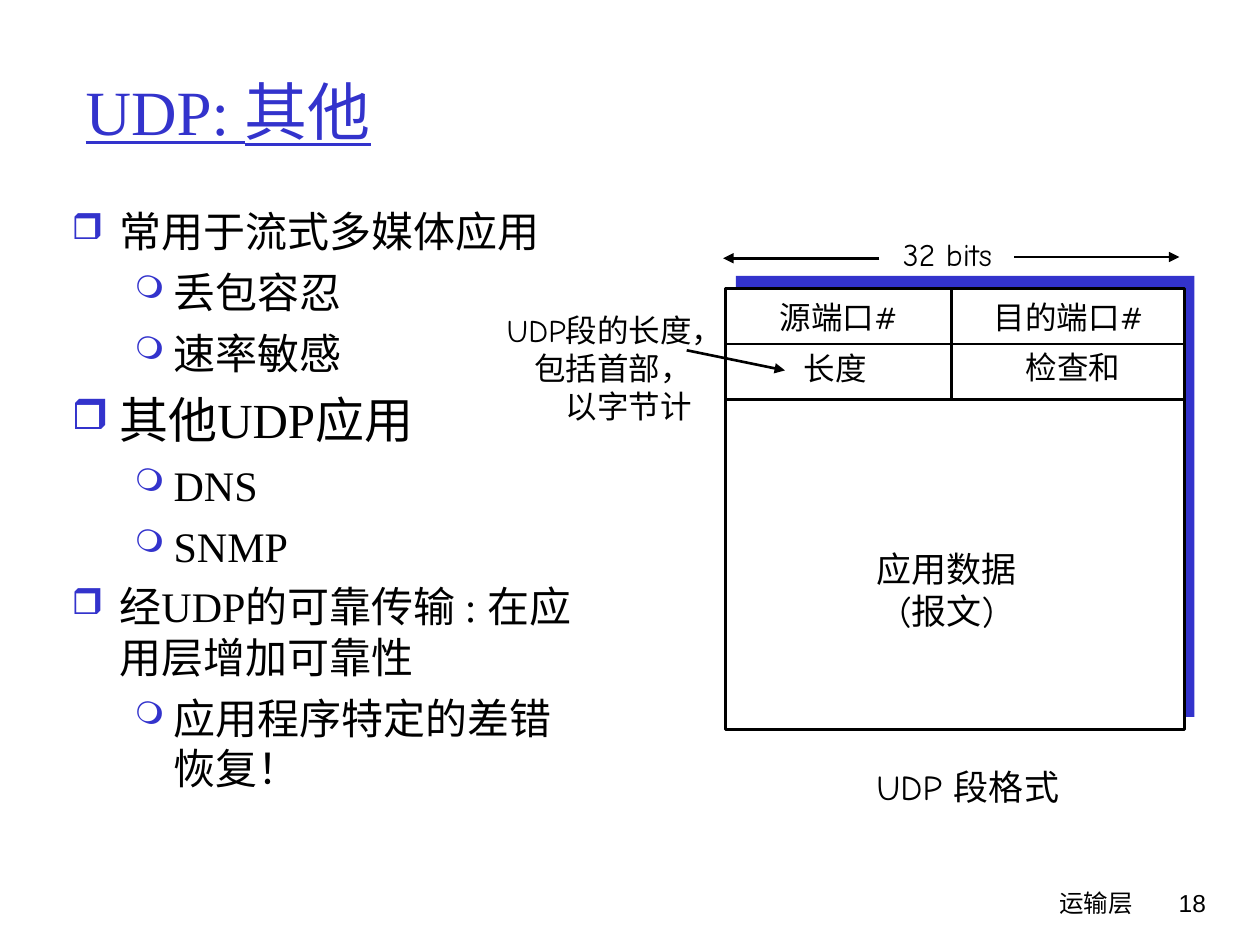
from dataclasses import dataclass

from lxml.etree import SubElement
from pptx import Presentation
from pptx.dml.color import RGBColor
from pptx.enum.shapes import MSO_CONNECTOR, MSO_SHAPE
from pptx.enum.text import MSO_ANCHOR, MSO_AUTO_SIZE, PP_ALIGN
from pptx.oxml.ns import qn
from pptx.util import Inches, Pt


@dataclass(frozen=True)
class Theme:
    blue: RGBColor = RGBColor(0x33, 0x33, 0xCC)
    black: RGBColor = RGBColor(0, 0, 0)
    white: RGBColor = RGBColor(0xFF, 0xFF, 0xFF)
    serif: str = "Times New Roman"
    hand: str = "Comic Neue"
    sans: str = "Arial"
    title: int = 36
    lead: int = 28
    body: int = 24
    caption: int = 20
    label: int = 18
    footer: int = 14
    rule: float = 1.5


THEME = Theme()

# Bullet sign, size in percent, left margin and hanging indent per level
BULLETS = [("❒", 85, 0.38, 0.38), ("❍", 75, 0.81, 0.31)]

# Level, text, size
OUTLINE = [
    (0, "常用于流式多媒体应用", THEME.body),
    (1, "丢包容忍", THEME.body),
    (1, "速率敏感", THEME.body),
    (0, "其他UDP应用", THEME.lead),
    (1, "DNS", THEME.body),
    (1, "SNMP", THEME.body),
    (0, "经UDP的可靠传输 : 在应用层增加可靠性", THEME.body),
    (1, "应用程序特定的差错恢复！", THEME.body),
]

# Segment frame and its inner rules
LEFT, TOP, WIDTH, HEIGHT = 5.76, 2.29, 3.64, 3.5
RIGHT, MIDDLE = LEFT + WIDTH, 7.55
ROW_ENDS = (2.73, 3.17)


def style(paragraph, size, font_name, color=THEME.black, align=PP_ALIGN.LEFT):
    paragraph.alignment = align
    for run in paragraph.runs:
        run.font.size = Pt(size)
        run.font.name = font_name
        run.font.color.rgb = color


def add_title(slide, text):
    title = slide.shapes.title
    title.left, title.top = Inches(0.58), Inches(0.25)
    title.width, title.height = Inches(9.12), Inches(1.25)
    title.text_frame.text = text
    title.text_frame.vertical_anchor = MSO_ANCHOR.MIDDLE
    heading = title.text_frame.paragraphs[0]
    style(heading, THEME.title, THEME.serif, THEME.blue)
    heading.runs[0].font.underline = True


def add_bullet(paragraph, level):
    sign, percent, margin, hanging = BULLETS[level]
    paragraph.level = level
    properties = paragraph._p.get_or_add_pPr()
    properties.set("marL", str(Inches(margin)))
    properties.set("indent", str(-Inches(hanging)))
    color = SubElement(properties, qn("a:buClr"))
    SubElement(color, qn("a:srgbClr"), val=str(THEME.blue))
    SubElement(properties, qn("a:buSzPct"), val=str(percent * 1000))
    SubElement(properties, qn("a:buChar"), char=sign)


def add_outline(slide, items):
    box = slide.shapes.add_textbox(Inches(0.47), Inches(1.58), Inches(4.17), Inches(5.08))
    frame = box.text_frame
    frame.word_wrap = True
    frame.text = "\n".join(text for _, text, _ in items)
    for index, (paragraph, (level, _, size)) in enumerate(zip(frame.paragraphs, items)):
        add_bullet(paragraph, level)
        if index:
            paragraph.space_before = Pt(size / 4)
        style(paragraph, size, THEME.serif)


def add_label(slide, text, left, top, width, height=0.4, size=THEME.label,
              font_name=THEME.hand, align=PP_ALIGN.CENTER, wrap=False, grow=True):
    """Add a small text box; without wrap it has no side insets, so lines stay whole."""
    box = slide.shapes.add_textbox(Inches(left), Inches(top), Inches(width), Inches(height))
    frame = box.text_frame
    frame.text = text
    frame.word_wrap = wrap
    frame.auto_size = MSO_AUTO_SIZE.SHAPE_TO_FIT_TEXT if grow else MSO_AUTO_SIZE.NONE
    if not wrap:
        frame.auto_size = MSO_AUTO_SIZE.NONE
        frame.margin_left = frame.margin_right = 0
    for paragraph in frame.paragraphs:
        style(paragraph, size, font_name, align=align)


def add_panel(slide, left, top, fill, outlined):
    panel = slide.shapes.add_shape(
        MSO_SHAPE.RECTANGLE, Inches(left), Inches(top), Inches(WIDTH), Inches(HEIGHT))
    panel.shadow.inherit = False
    panel.fill.solid()
    panel.fill.fore_color.rgb = fill
    if outlined:
        panel.line.color.rgb = THEME.black
        panel.line.width = Pt(THEME.rule)
    else:
        panel.line.fill.background()


def add_rule(slide, x1, y1, x2, y2, arrow=False):
    rule = slide.shapes.add_connector(
        MSO_CONNECTOR.STRAIGHT, Inches(x1), Inches(y1), Inches(x2), Inches(y2))
    rule.line.color.rgb = THEME.black
    rule.line.width = Pt(THEME.rule)
    if arrow:
        SubElement(rule.line._get_or_add_ln(), qn("a:tailEnd"), type="triangle")
    SubElement(rule._element.spPr, qn("a:effectLst"))


def add_segment(slide):
    """Draw the UDP segment with its header fields, data area and width mark."""
    add_panel(slide, LEFT + 0.08, TOP - 0.1, THEME.blue, outlined=False)
    add_panel(slide, LEFT, TOP, THEME.white, outlined=True)
    for row_top, row_end in zip((TOP, ROW_ENDS[0]), ROW_ENDS):
        add_rule(slide, LEFT, row_end, RIGHT, row_end)
        add_rule(slide, MIDDLE, row_end, MIDDLE, row_top)

    add_label(slide, "源端口#", 6.06, 2.32, 1.19)
    add_label(slide, "目的端口#", 7.76, 2.32, 1.44)
    add_label(slide, "长度", 6.28, 2.72, 0.7)
    add_label(slide, "检查和", 8.04, 2.71, 0.95)
    add_label(slide, "应用数据\n(报文)", 6.86, 4.3, 1.31, 0.77, THEME.caption)
    add_label(slide, "UDP 段格式", 6.82, 6.03, 1.72, 0.44, THEME.caption)

    add_label(slide, "32 bits", 7.07, 1.82, 0.9)
    add_rule(slide, 8.05, 2.04, 9.36, 2.04, arrow=True)
    add_rule(slide, 6.98, 2.05, 5.74, 2.05, arrow=True)

    add_label(slide, "UDP段的长度，包括首部，以字节计", 3.92, 2.42, 1.67, 1.3,
              align=PP_ALIGN.RIGHT, wrap=True)
    add_rule(slide, 5.45, 2.78, 6.23, 2.94, arrow=True)


def add_footer(slide, chapter, number):
    for text, left, width, font_name in ((chapter, 5.92, 3.17, THEME.hand),
                                         (number, 8.93, 0.74, THEME.sans)):
        add_label(slide, text, left, 7, width, 0.5, THEME.footer, font_name,
                  PP_ALIGN.RIGHT, wrap=True, grow=False)


def main():
    deck = Presentation()
    deck.slide_width, deck.slide_height = Inches(10), Inches(7.5)
    slide = deck.slides.add_slide(deck.slide_layouts.get_by_name("Title Only"))
    add_footer(slide, "运输层", "18")
    add_title(slide, "UDP: 其他")
    add_outline(slide, OUTLINE)
    add_segment(slide)
    deck.save("out.pptx")


if __name__ == "__main__":
    main()
